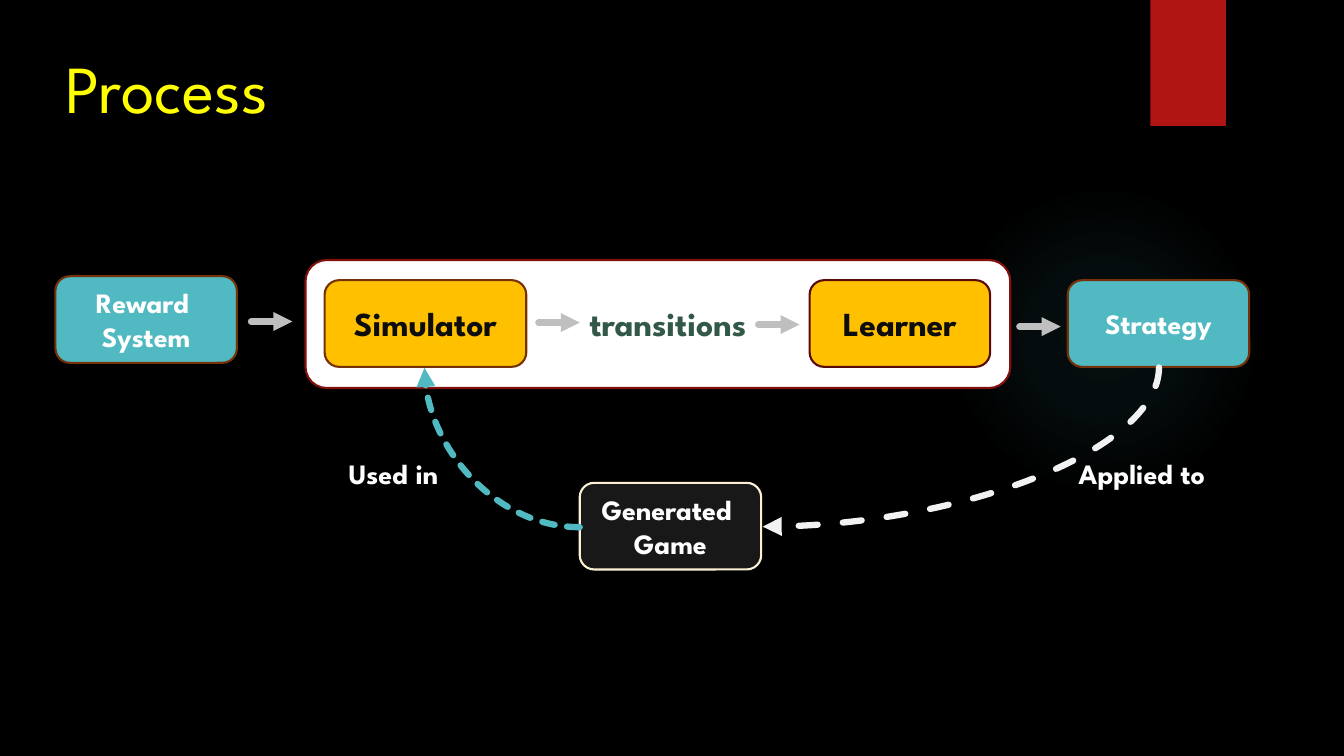
from dataclasses import dataclass
from typing import Optional

from lxml import etree
from pptx import Presentation
from pptx.dml.color import RGBColor
from pptx.enum.dml import MSO_LINE
from pptx.enum.shapes import MSO_CONNECTOR, MSO_SHAPE
from pptx.enum.text import MSO_ANCHOR, MSO_AUTO_SIZE, PP_ALIGN
from pptx.oxml import parse_xml
from pptx.oxml.ns import qn
from pptx.util import Pt

PX = 9144  # 100 px to the inch
FONT = "League Spartan"
NS = "http://schemas.openxmlformats.org/drawingml/2006/main"
STRAIGHT, CURVE = MSO_CONNECTOR.STRAIGHT, MSO_CONNECTOR.CURVE
ROUNDED, RECT, OVAL = MSO_SHAPE.ROUNDED_RECTANGLE, MSO_SHAPE.RECTANGLE, MSO_SHAPE.OVAL
DASH, SHORT_DASH = MSO_LINE.DASH, MSO_LINE.SQUARE_DOT
MIDDLE, CENTER, LEFT = MSO_ANCHOR.MIDDLE, PP_ALIGN.CENTER, PP_ALIGN.LEFT
FIT_TEXT = MSO_AUTO_SIZE.SHAPE_TO_FIT_TEXT

TEAL, AMBER, WHITE, BROWN = "50B9C1", "FFC000", "FFFFFF", "753209"
INK, GREY = "0D0D0D", "BFBFBF"


@dataclass
class Box:
    text: str
    x: int
    y: int
    w: int
    h: int
    fill: str
    line: Optional[str]
    color: str = WHITE
    size: int = 20
    kind: int = ROUNDED


@dataclass
class Label:
    text: str
    x: int
    y: int
    w: int
    h: int
    color: str = WHITE
    size: int = 20
    bold: bool = True
    wrap: bool = False


@dataclass
class Arrow:
    x: int
    y: int
    w: int
    h: int = 0
    color: str = GREY
    dash: Optional[int] = None
    rotation: int = 0


def rgb(value: str) -> RGBColor:
    return RGBColor.from_string(value)


def emu(*lengths: int) -> list[int]:
    return [length * PX for length in lengths]


def write(tf, text: str, size: int, color: str, bold: bool, align: int) -> None:
    tf.text = text
    tf.vertical_anchor = MIDDLE
    for p in tf.paragraphs:
        p.alignment = align
        for r in p.runs:
            r.font.name = FONT
            r.font.size = Pt(size)
            r.font.bold = bold
            r.font.color.rgb = rgb(color)


def draw_box(shapes, box: Box) -> None:
    s = shapes.add_shape(box.kind, *emu(box.x, box.y, box.w, box.h))
    s.shadow.inherit = False
    s.fill.solid()
    s.fill.fore_color.rgb = rgb(box.fill)
    if box.line:
        s.line.color.rgb = rgb(box.line)
        s.line.width = Pt(1.5)
    else:
        s.line.fill.background()
    if box.text:
        write(s.text_frame, box.text, box.size, box.color, True, CENTER)


def draw_label(shapes, label: Label) -> None:
    s = shapes.add_textbox(*emu(label.x, label.y, label.w, label.h))
    tf = s.text_frame
    write(tf, label.text, label.size, label.color, label.bold, LEFT)
    tf.word_wrap = label.wrap
    if not label.wrap:
        tf.auto_size = FIT_TEXT


def draw_arrow(shapes, arrow: Arrow) -> None:
    kind = CURVE if arrow.h else STRAIGHT
    s = shapes.add_connector(
        kind, *emu(arrow.x, arrow.y, arrow.x + arrow.w, arrow.y + arrow.h))
    s.line.color.rgb = rgb(arrow.color)
    s.line.width = Pt(4.5)
    if arrow.dash is not None:
        s.line.dash_style = arrow.dash
    sp_pr = s._element.spPr
    if arrow.h:
        # Quarter curve, turned about the centre of its box
        sp_pr.find(qn("a:prstGeom")).set("prst", "curvedConnector2")
        sp_pr.find(qn("a:xfrm")).set("rot", str(arrow.rotation * 60000))
    ln = sp_pr.find(qn("a:ln"))
    ln.set("cap", "rnd")
    etree.SubElement(ln, qn("a:tailEnd"), type="triangle")
    etree.SubElement(sp_pr, qn("a:effectLst"))


def draw_glow(shapes, x: int, y: int, size: int) -> None:
    s = shapes.add_shape(OVAL, *emu(x, y, size, size))
    s.shadow.inherit = False
    s.line.fill.background()
    s.fill.background()
    stops = "".join(
        f'<a:gs pos="{pos * 1000}"><a:srgbClr val="{TEAL}">'
        f'<a:alpha val="{alpha * 1000}"/></a:srgbClr></a:gs>'
        for pos, alpha in ((0, 7), (36, 6), (69, 0)))
    gradient = parse_xml(
        f'<a:gradFill xmlns:a="{NS}"><a:gsLst>{stops}</a:gsLst><a:path path="circle">'
        '<a:fillToRect l="50000" t="50000" r="50000" b="50000"/></a:path></a:gradFill>')
    sp_pr = s._element.spPr
    sp_pr.replace(sp_pr.find(qn("a:noFill")), gradient)


BOXES = [
    Box("", 1141, 0, 75, 125, "B01513", None, kind=RECT),
    Box("", 303, 258, 699, 127, WHITE, "82100E"),
    Box("Simulator", 322, 278, 200, 86, AMBER, BROWN, INK, 24),
    Box("Learner", 803, 278, 179, 86, AMBER, "580A09", INK, 24),
    Box("Reward \nSystem", 55, 274, 180, 86, TEAL, BROWN),
    Box("Strategy", 1059, 278, 180, 86, TEAL, BROWN),
    Box("Generated \nGame", 575, 479, 180, 86, "181818", "FAF1D4"),
]
LABELS = [
    Label("Process", 55, 29, 1029, 114, "FFFF00", 48, bold=False, wrap=True),
    Label("transitions", 575, 296, 181, 50, "325948", 24),
    Label("Used in", 336, 448, 117, 44),
    Label("Applied to", 1060, 448, 162, 44),
]
ARROWS = [
    Arrow(249, 319, 41),
    Arrow(534, 320, 41),
    Arrow(752, 322, 41),
    Arrow(1011, 324, 41),
    Arrow(421, 365, 154, 158, TEAL, SHORT_DASH, 180),
    Arrow(874, 247, 158, 393, "F2F2F2", DASH, 90),
]


def main() -> None:
    prs = Presentation()
    prs.slide_width, prs.slide_height = emu(1333, 750)
    slide = prs.slides.add_slide(prs.slide_layouts[6])
    slide.background.fill.solid()
    slide.background.fill.fore_color.rgb = rgb("000000")

    # Backdrop, process boxes, captions, then the flow between them
    draw_glow(slide.shapes, 941, 183, 308)
    for box in BOXES:
        draw_box(slide.shapes, box)
    for label in LABELS:
        draw_label(slide.shapes, label)
    for arrow in ARROWS:
        draw_arrow(slide.shapes, arrow)
    prs.save("out.pptx")


if __name__ == "__main__":
    main()
